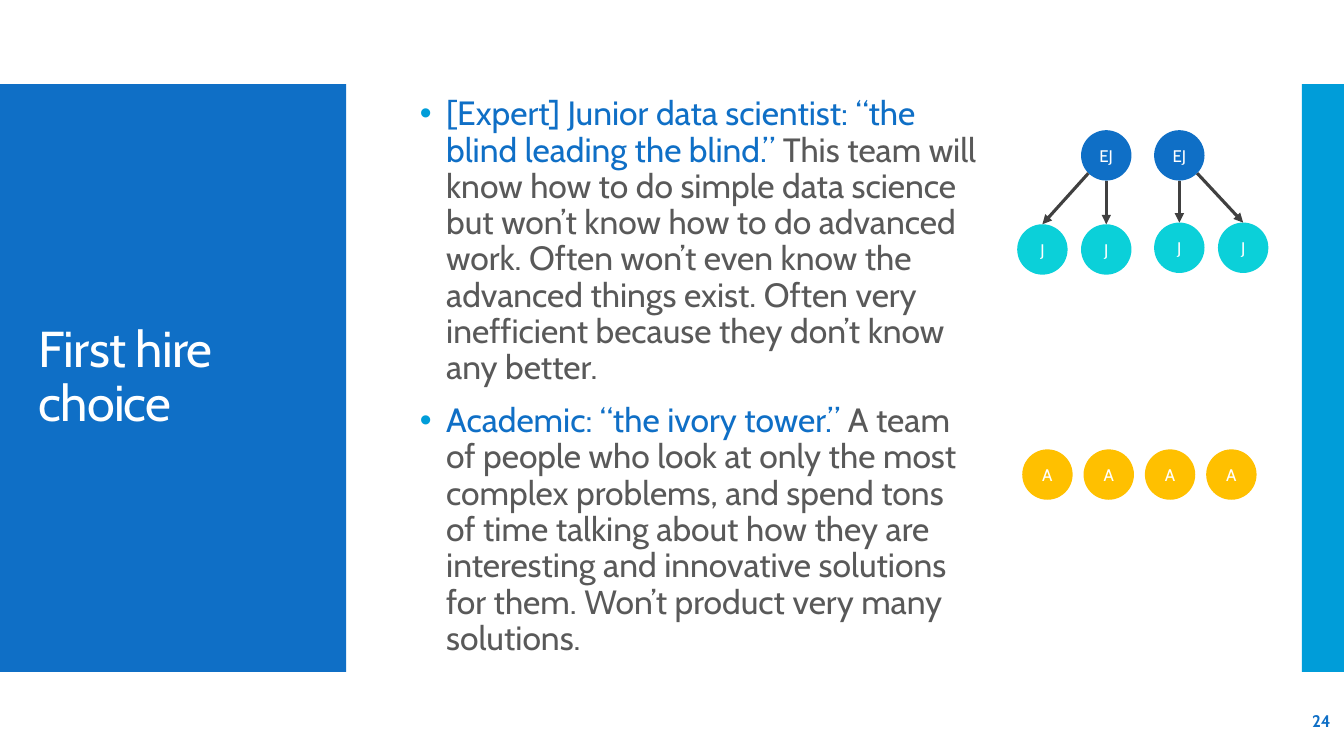
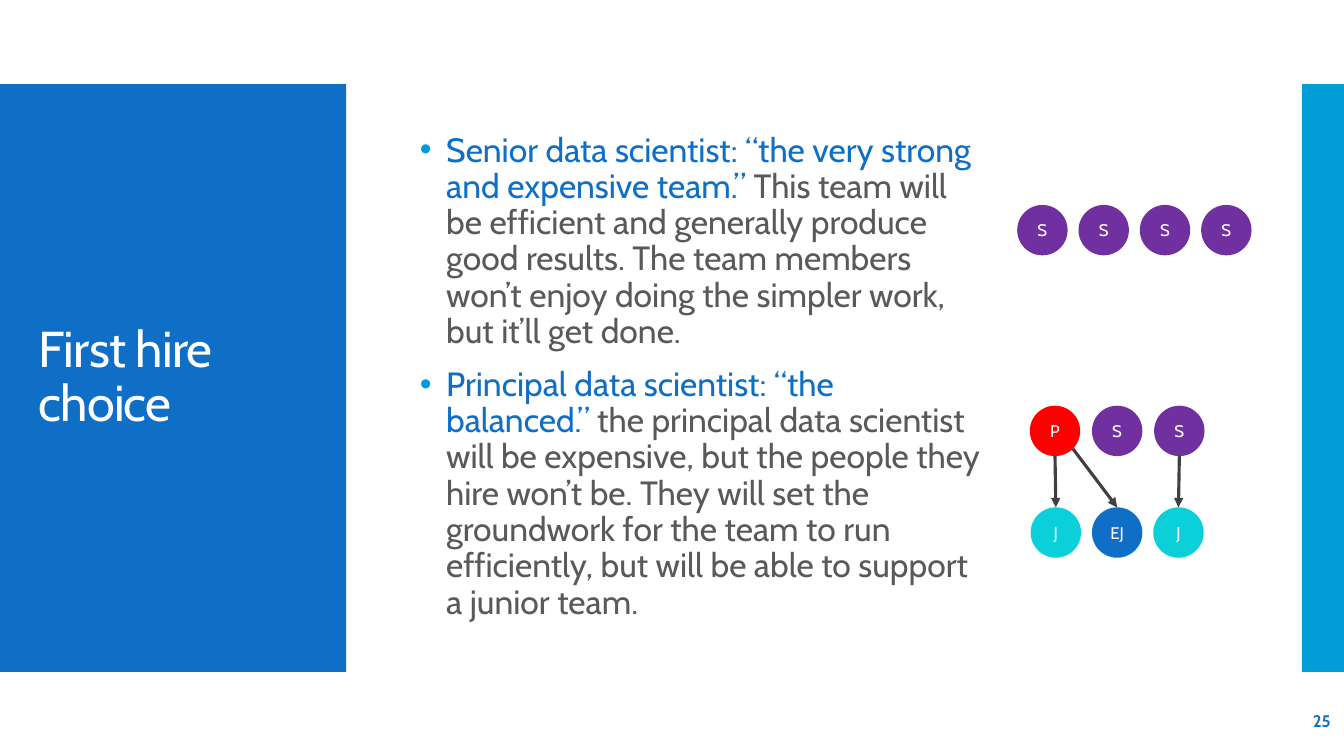
from dataclasses import dataclass

from lxml import etree
from pptx import Presentation
from pptx import util as u
from pptx.dml.color import RGBColor
from pptx.enum import shapes, text
from pptx.oxml.ns import qn

# Shared style: a grid of 16 columns by 9 rows of square cells
COLUMNS, ROWS = 16, 9
CELL = u.Inches(7.5) / ROWS
FONT = "Cabin"
COLORS = {
    "blue": "0F6FC6", "sky": "009DD9", "white": "FFFFFF", "body": "595959",
    "arrow": "404040", "cyan": "0BD0D9", "gold": "FFC000",
    "purple": "7030A0", "red": "FF0000",
}
ROLE_COLORS = {"EJ": "blue", "J": "cyan", "A": "gold", "S": "purple", "P": "red"}
CIRCLE = 0.6
BULLET_INDENT = u.Inches(0.26)


@dataclass(frozen=True)
class Box:
    left: float
    top: float
    width: float
    height: float

    def emu(self) -> tuple[int, ...]:
        return tuple(cells(v) for v in (self.left, self.top, self.width, self.height))


@dataclass(frozen=True)
class TeamRow:
    roles: str
    left: float
    top: float
    step: float


@dataclass(frozen=True)
class HirePage:
    number: int
    choices: tuple[tuple[str, str], ...]
    rows: tuple[TeamRow, ...]
    reports: tuple[tuple[int, int], ...]  # manager and report, counted across rows


BANDS = ((Box(0, 1, 4.12, 7), "blue"), (Box(15.5, 1, 0.5, 7), "sky"))
TITLE_BOX = Box(0.34, 1.48, 3.48, 6.04)
BODY_BOX = Box(4.88, 1.13, 6.91, 6.72)
NUMBER_BOX = Box(13.96, 8.34, 2, 0.48)

# Content
PAGES = (
    HirePage(
        24,
        (
            ("[Expert] Junior data scientist: “the blind leading the blind.”",
             " This team will know how to do simple data science but won’t know "
             "how to do advanced work. Often won’t even know the advanced things "
             "exist. Often very inefficient because they don’t know any better."),
            ("Academic: “the ivory tower.”",
             " A team of people who look at only the most complex problems, and "
             "spend tons of time talking about how they are interesting and "
             "innovative solutions for them. Won’t product very many solutions."),
        ),
        (
            TeamRow("EJ EJ", 12.87, 1.55, 0.87),
            TeamRow("J J", 12.11, 2.67, 0.76),
            TeamRow("J J", 13.74, 2.65, 0.76),
            TeamRow("A A A A", 12.17, 5.35, 0.73),
        ),
        ((0, 2), (0, 3), (1, 4), (1, 5)),
    ),
    HirePage(
        25,
        (
            ("Senior data scientist: “the very strong and expensive team.”",
             " This team will be efficient and generally produce good results. "
             "The team members won’t enjoy doing the simpler work, but it’ll "
             "get done."),
            ("Principal data scientist: “the balanced.”",
             " the principal data scientist will be expensive, but the people "
             "they hire won’t be. They will set the groundwork for the team to "
             "run efficiently, but will be able to support a junior team."),
        ),
        (
            TeamRow("S S S S", 12.11, 2.44, 0.73),
            TeamRow("P S S", 12.26, 4.83, 0.74),
            TeamRow("J EJ J", 12.27, 6.04, 0.73),
        ),
        ((4, 7), (4, 8), (6, 9)),
    ),
)


# Helpers
def cells(count: float) -> int:
    return round(count * CELL)


def rgb(name: str) -> RGBColor:
    return RGBColor.from_string(COLORS[name])


def style_run(run, size: float, color: str, bold: bool = False) -> None:
    run.font.name = FONT
    run.font.size = u.Pt(size)
    run.font.bold = bold
    run.font.color.rgb = rgb(color)


def place(shape, box: Box) -> None:
    shape.left, shape.top, shape.width, shape.height = box.emu()
    frame = shape.text_frame
    frame.word_wrap = True
    frame.auto_size = text.MSO_AUTO_SIZE.NONE
    frame.vertical_anchor = text.MSO_ANCHOR.MIDDLE


def add_filled(slide, kind, box: Box, color: str):
    shape = slide.shapes.add_shape(kind, *box.emu())
    shape.shadow.inherit = False
    shape.fill.solid()
    shape.fill.fore_color.rgb = rgb(color)
    shape.line.fill.background()
    return shape


# Frame shared by the slides
def draw_bands(slide) -> None:
    for box, color in BANDS:
        band = add_filled(slide, shapes.MSO_SHAPE.RECTANGLE, box, color)
        band.element.getparent().insert(2, band.element)  # behind the placeholders


def write_title(slide) -> None:
    title = slide.shapes.title
    place(title, TITLE_BOX)
    title.text_frame.text = "First hire choice"
    line = title.text_frame.paragraphs[0]
    line.alignment = text.PP_ALIGN.LEFT
    line.line_spacing = 0.9
    style_run(line.runs[0], 36, "white")
    line.runs[0].font._element.set("spc", "-60")


def write_number(slide, number: int) -> None:
    page_number = slide.shapes.add_textbox(*NUMBER_BOX.emu())
    place(page_number, NUMBER_BOX)
    page_number.text_frame.text = str(number)
    line = page_number.text_frame.paragraphs[0]
    line.alignment = text.PP_ALIGN.RIGHT
    style_run(line.runs[0], 12, "blue", bold=True)


# Bulleted choices
def set_bullet(paragraph) -> None:
    props = paragraph._p.get_or_add_pPr()
    props.set("marL", str(BULLET_INDENT))
    props.set("indent", str(-BULLET_INDENT))
    tint = etree.SubElement(props, qn("a:buClr"))
    etree.SubElement(tint, qn("a:srgbClr"), val=COLORS["sky"])
    etree.SubElement(props, qn("a:buChar"), char="•")


def write_choices(slide, choices: tuple[tuple[str, str], ...]) -> None:
    body = slide.placeholders[1]
    place(body, BODY_BOX)
    frame = body.text_frame
    frame.text = "\n".join(lead for lead, _ in choices)
    for paragraph, (_, detail) in zip(frame.paragraphs, choices):
        paragraph.line_spacing = 0.9
        paragraph.space_before = u.Pt(12)
        paragraph.space_after = u.Pt(0)
        set_bullet(paragraph)
        paragraph.add_run().text = detail
        for run, color in zip(paragraph.runs, ("blue", "body")):
            style_run(run, 24, color)


# Team diagrams
def draw_person(slide, role: str, spot: Box) -> None:
    person = add_filled(slide, shapes.MSO_SHAPE.OVAL, spot, ROLE_COLORS[role])
    frame = person.text_frame
    frame.text = role
    frame.word_wrap = False
    frame.vertical_anchor = text.MSO_ANCHOR.MIDDLE
    frame.margin_left = frame.margin_right = 0
    frame.paragraphs[0].alignment = text.PP_ALIGN.CENTER
    style_run(frame.paragraphs[0].runs[0], 12, "white")


def draw_report(slide, manager: Box, report: Box) -> None:
    """Arrow from the manager's bottom, or lower diagonal, to the report's top."""
    radius = CIRCLE / 2
    shift = report.left - manager.left
    side = 0 if abs(shift) < 0.1 else shift / abs(shift)
    reach_x = side * radius * 0.71
    reach_y = radius * (0.71 if side else 1)
    arrow = slide.shapes.add_connector(
        shapes.MSO_CONNECTOR.STRAIGHT,
        cells(manager.left + radius + reach_x), cells(manager.top + radius + reach_y),
        cells(report.left + radius), cells(report.top),
    )
    arrow.line.color.rgb = rgb("arrow")
    arrow.line.width = u.Pt(2.25)
    etree.SubElement(arrow.line._get_or_add_ln(), qn("a:tailEnd"), type="triangle")
    etree.SubElement(arrow.element.spPr, qn("a:effectLst"))


def draw_teams(slide, page: HirePage) -> None:
    spots: list[Box] = []
    for row in page.rows:
        for place_in_row, role in enumerate(row.roles.split()):
            spot = Box(row.left + place_in_row * row.step, row.top, CIRCLE, CIRCLE)
            draw_person(slide, role, spot)
            spots.append(spot)
    for manager, report in page.reports:
        draw_report(slide, spots[manager], spots[report])


# Build
deck = Presentation()
deck.slide_width, deck.slide_height = cells(COLUMNS), cells(ROWS)
for page in PAGES:
    slide = deck.slides.add_slide(deck.slide_layouts[1])
    draw_bands(slide)
    write_title(slide)
    write_choices(slide, page.choices)
    write_number(slide, page.number)
    draw_teams(slide, page)
deck.save("out.pptx")
